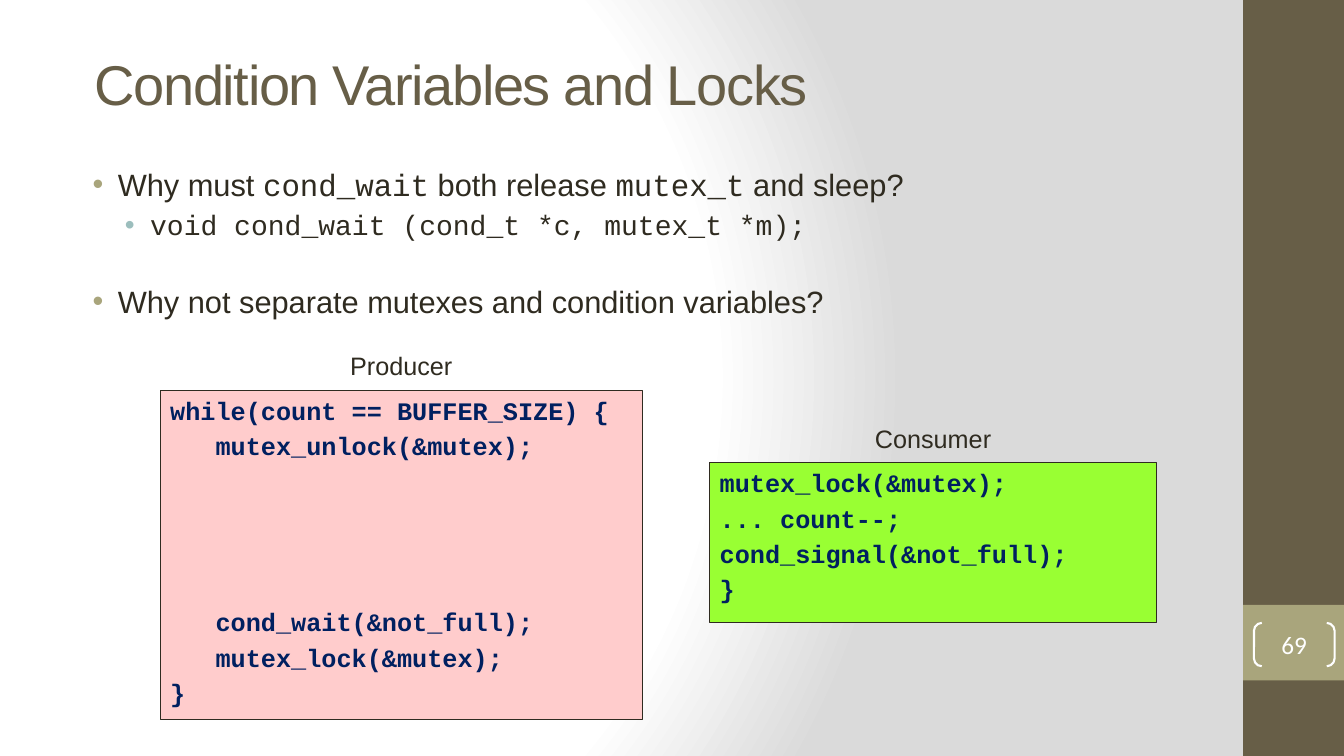
from lxml import etree
from pptx import Presentation
from pptx.dml.color import RGBColor as Rgb
from pptx.enum.shapes import MSO_SHAPE as Shape
from pptx.enum.text import MSO_ANCHOR as Anchor, PP_ALIGN as Align
from pptx.oxml import parse_xml
from pptx.oxml.ns import nsdecls, qn
from pptx.util import Inches, Pt


class Theme:
    brown, olive, teal = "675E47", "A9A57C", "9CBEBD"
    ink, navy, white, gray = "2F2B20", "002060", "FFFFFF", "DADADA"
    pink, lime = "FFCCCC", "99FF33"
    sans, mono, page = "Arial", "Courier New", "Calibri"
    title, main, sub, small = 40, 22, 20, 18
    gap, line = 0.2, 1.2  # paragraph gap and line height, as shares of type size


def assign(item, values):
    for name, value in values.items():
        setattr(item, name, value)


class Deck:
    """Style and current slide; boxes are (left, top, width, height) in percent."""

    def __init__(self, theme):
        self.theme = theme
        self.prs = Presentation()
        assign(self.prs, {"slide_width": Inches(13.33), "slide_height": Inches(7.5)})
        self.slide = self.prs.slides.add_slide(self.prs.slide_layouts[6])

    def place(self, box):
        wide, high = self.prs.slide_width, self.prs.slide_height
        return [int(part * side / 100) for part, side in zip(box, (wide, high) * 2)]

    def backdrop(self):
        stops = [(0, self.theme.white), (75, self.theme.white), (100, self.theme.gray)]
        marks = "".join(f'<a:gs pos="{at * 1000}"><a:srgbClr val="{tint}"/></a:gs>'
                        for at, tint in stops)
        back = parse_xml(
            f'<p:bg {nsdecls("p", "a")}><p:bgPr><a:gradFill rotWithShape="1">'
            f'<a:gsLst>{marks}</a:gsLst><a:path path="circle"><a:fillToRect '
            'l="20000" t="50000" r="100000" b="50000"/></a:path></a:gradFill>'
            '<a:effectLst/></p:bgPr></p:bg>')
        self.slide.element.cSld.insert(0, back)

    def shape(self, box, fill=None, line=None, width=0.75, kind=Shape.RECTANGLE):
        item = self.slide.shapes.add_shape(kind, *self.place(box))
        item.shadow.inherit = False
        if fill:
            item.fill.solid()
            item.fill.fore_color.rgb = Rgb.from_string(fill)
        else:
            item.fill.background()
        if line:
            item.line.color.rgb = Rgb.from_string(line)
            item.line.width = Pt(width)
        else:
            item.line.fill.background()
        return item

    def text(self, box, **frame):
        item = self.slide.shapes.add_textbox(*self.place(box))
        assign(item.text_frame, {"word_wrap": True, **frame})
        return item.text_frame

    def run(self, para, words, size, font, tint, bold=False):
        run = para.add_run()
        run.text = words
        assign(run.font, {"size": Pt(size), "name": font, "bold": bold})
        run.font.color.rgb = Rgb.from_string(tint)
        return run

    def heading(self, box, words):
        frame = self.text(box, vertical_anchor=Anchor.MIDDLE)
        run = self.run(frame.paragraphs[0], words, self.theme.title,
                       self.theme.sans, self.theme.brown)
        run.font._element.set("spc", "-100")

    def bullets(self, box, items):
        """Items are (level, blank points above, [(words, font), ...])."""
        looks = [(0.38, self.theme.olive, self.theme.main),
                 (0.7, self.theme.teal, self.theme.sub)]
        frame = self.text(box)
        for nth, (level, blank, parts) in enumerate(items):
            left, tint, size = looks[level]
            para = frame.add_paragraph() if nth else frame.paragraphs[0]
            props = para._p.get_or_add_pPr()
            props.set("marL", str(Inches(left)))
            props.set("indent", str(Inches(-0.25)))
            color = etree.SubElement(props, qn("a:buClr"))
            etree.SubElement(color, qn("a:srgbClr"), val=tint)
            etree.SubElement(props, qn("a:buFont"), typeface=self.theme.sans)
            etree.SubElement(props, qn("a:buChar"), char="•")
            assign(para, {"level": level, "alignment": Align.JUSTIFY})
            if nth:
                para.space_before = Pt(self.theme.gap * size + blank)
            for words, font in parts:
                self.run(para, words, size, font, self.theme.ink)

    def panel(self, box, fill, label, blocks):
        """Code box under a centred label; blocks of lines are four lines apart."""
        size, font = self.theme.small, self.theme.mono
        space = self.theme.gap * size
        left, top, width, _ = box
        frame = self.shape(box, fill, self.theme.ink).text_frame
        assign(frame, {"vertical_anchor": Anchor.TOP, "word_wrap": True})
        for part, lines in enumerate(blocks):
            for nth, words in enumerate(lines):
                first = part == nth == 0
                para = frame.paragraphs[0] if first else frame.add_paragraph()
                para.alignment = Align.LEFT
                if not first:
                    apart = 4 * (self.theme.line * size + space) if nth == 0 else 0
                    para.space_before = Pt(space + apart)
                self.run(para, words, size, font, self.theme.navy, True)
        tag = self.text((left + width / 2 - 7, top - 5.93, 14, 5.33), word_wrap=False)
        tag.paragraphs[0].alignment = Align.CENTER
        self.run(tag.paragraphs[0], label, size, self.theme.sans, self.theme.ink)

    def number(self, box, words):
        item = self.shape(box, None, self.theme.white, 1.5, Shape.DOUBLE_BRACKET)
        item.adjustments[0] = 0.18
        frame = item.text_frame
        sides = ("left", "top", "right", "bottom")
        assign(frame, {f"margin_{side}": 0 for side in sides})
        frame.vertical_anchor = Anchor.MIDDLE
        frame.paragraphs[0].alignment = Align.CENTER
        self.run(frame.paragraphs[0], words, self.theme.small,
                 self.theme.page, self.theme.white)


def main():
    look = Theme()
    deck = Deck(look)
    deck.backdrop()
    deck.shape((92.5, 0, 7.5, 100), look.brown)
    deck.shape((92.5, 80, 7.5, 10), look.olive)
    deck.heading((6.3, 8, 81.85, 6), "Condition Variables and Locks")
    deck.number((93.3, 82.4, 6, 5.73), "69")
    deck.bullets((5.18, 21.2, 86.05, 76.8), [
        (0, 0, [("Why must ", look.sans), ("cond_wait", look.mono),
                (" both release ", look.sans), ("mutex_t", look.mono),
                (" and sleep?", look.sans)]),
        (1, 0, [("void cond_wait (cond_t *c, mutex_t *m);", look.mono)]),
        (0, 25, [("Why not separate mutexes and condition variables?", look.sans)]),
    ])
    deck.panel((11.93, 51.6, 35.86, 43.6), look.pink, "Producer", [
        ["while(count == BUFFER_SIZE) {", "   mutex_unlock(&mutex);"],
        ["   cond_wait(&not_full);", "   mutex_lock(&mutex);", "}"],
    ])
    deck.panel((52.81, 61.2, 33.23, 21.2), look.lime, "Consumer", [
        ["mutex_lock(&mutex);", "... count--;", "cond_signal(&not_full);", "}"],
    ])
    deck.prs.save("out.pptx")


if __name__ == "__main__":
    main()
